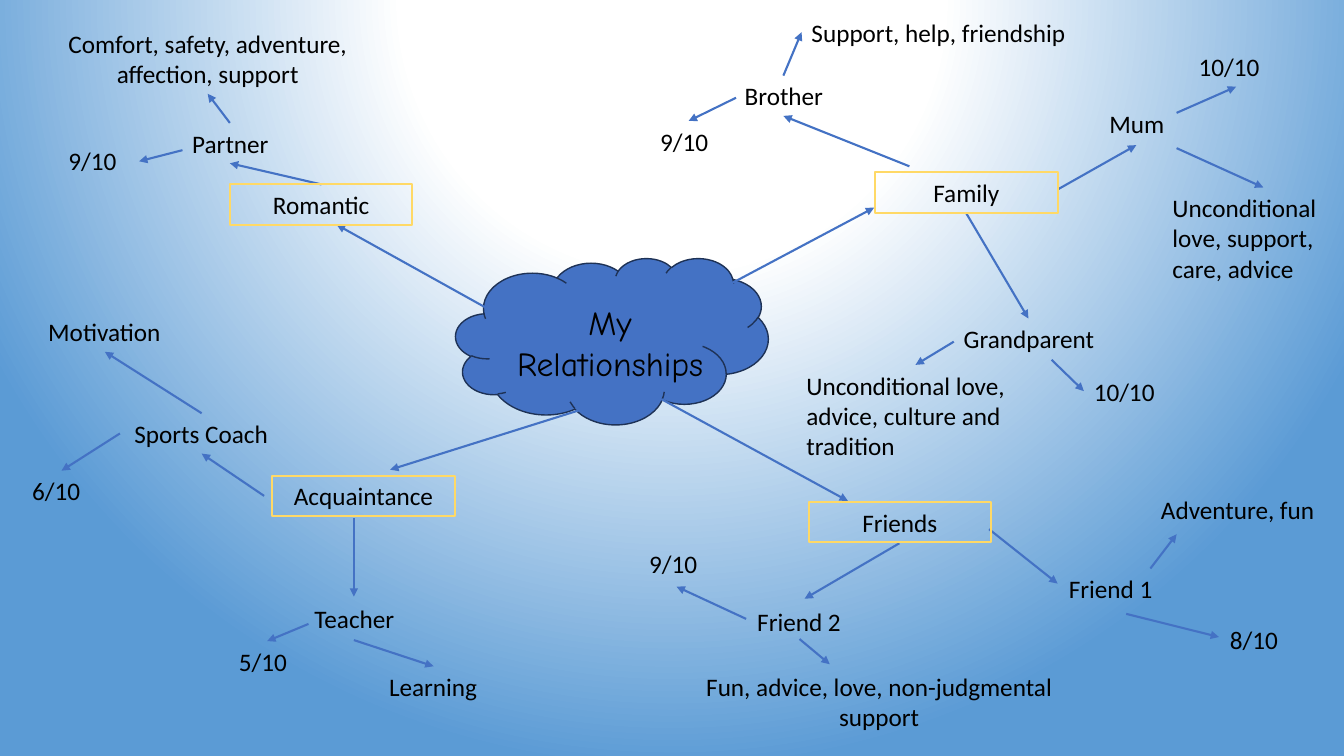
import pptx
import pptx.dml.color
import pptx.enum.shapes
import pptx.enum.text
import pptx.oxml
import pptx.oxml.ns
import pptx.util
from lxml import etree
from pptx.util import Inches

BLUE = pptx.dml.color.RGBColor(0x44, 0x72, 0xC4)
NAVY = pptx.dml.color.RGBColor(0x1E, 0x32, 0x56)
GOLD = pptx.dml.color.RGBColor(0xFF, 0xD9, 0x66)
BLACK = pptx.dml.color.RGBColor(0, 0, 0)

LEFT = pptx.enum.text.PP_ALIGN.LEFT
CENTER = pptx.enum.text.PP_ALIGN.CENTER
LABEL_WIDTH = 1.81
LABEL_HEIGHT = 0.4

BACKGROUND_GRADIENT = f"""
<a:gradFill {pptx.oxml.ns.nsdecls("a")} rotWithShape="1">
  <a:gsLst>
    <a:gs pos="0"><a:srgbClr val="FFFFFF"/></a:gs>
    <a:gs pos="35000"><a:srgbClr val="FFFFFF"/></a:gs>
    <a:gs pos="100000"><a:srgbClr val="5B9BD5"/></a:gs>
  </a:gsLst>
  <a:path path="circle">
    <a:fillToRect l="50000" t="-80000" r="50000" b="180000"/>
  </a:path>
</a:gradFill>"""

# Text, left, top
CATEGORIES = [
    ("Romantic", 2.28, 1.83),
    ("Family", 8.68, 1.71),
    ("Friends", 8.02, 4.98),
    ("Acquaintance", 2.7, 4.72),
]
PEOPLE = [
    ("Partner", 1.38, 1.22),
    ("Brother", 6.87, 0.75),
    ("Mum", 10.37, 1.03),
    ("Grandparent", 9.3, 3.16),
    ("Friend 1", 10.11, 5.64),
    ("Friend 2", 7.02, 5.97),
    ("Sports Coach", 1.09, 4.1),
    ("Teacher", 2.61, 5.94),
]
RATINGS = [
    ("9/10", 0.58, 1.39),
    ("9/10", 6.45, 1.2),
    ("10/10", 11.79, 0.46),
    ("10/10", 10.75, 3.68),
    ("8/10", 12.1, 6.14),
    ("9/10", 6.34, 5.39),
    ("6/10", 0.22, 4.67),
    ("5/10", 2.27, 6.36),
]
# Text, left, top, width, height, alignment
BENEFITS = [
    ("Comfort, safety, adventure, affection, support", 0.25, 0.23, 3.62, 0.71, CENTER),
    ("Support, help, friendship", 7.95, 0.12, 2.88, 0.4, LEFT),
    ("Unconditional love, support, care, advice", 11.53, 1.86, 1.99, 1.01, LEFT),
    ("Unconditional love, advice, culture and tradition", 7.9, 3.62, 2.37, 1.01, LEFT),
    ("Adventure, fun", 11.37, 4.86, 1.81, 0.4, CENTER),
    ("Fun, advice, love, non-judgmental support", 6.8, 6.61, 3.84, 0.71, CENTER),
    ("Motivation", 0.13, 3.09, 1.81, 0.4, CENTER),
    ("Learning", 3.39, 6.61, 1.81, 0.4, CENTER),
]

# Start x, start y, end x, end y
CLOUD_ARROWS = [
    (7.22, 2.83, 8.67, 2.06),
    (5.12, 3.22, 3.34, 2.23),
    (6, 3.99, 3.87, 4.66),
    (6.56, 3.96, 8.41, 4.97),
]
CATEGORY_ARROWS = [
    (3.19, 1.83, 2.28, 1.62),
    (9.02, 1.65, 7.77, 1.15),
    (10.49, 1.88, 11.27, 1.44),
    (9.58, 2.11, 10.2, 3.16),
    (9.81, 5.25, 10.49, 5.79),
    (8.92, 5.39, 7.98, 5.94),
    (2.62, 4.92, 2, 4.5),
    (3.51, 5.14, 3.51, 5.92),
]
RATING_ARROWS = [
    (1.81, 1.49, 1.38, 1.6),
    (7.3, 0.97, 6.83, 1.2),
    (11.67, 1.12, 12.26, 0.86),
    (10.43, 3.57, 10.75, 3.88),
    (11.17, 6.09, 12.09, 6.32),
    (7.4, 6.14, 6.71, 5.82),
    (1.19, 4.3, 0.61, 4.67),
    (3.06, 6.19, 2.65, 6.36),
]
BENEFIT_ARROWS = [
    (2.28, 1.22, 2.06, 0.93),
    (7.77, 0.75, 7.95, 0.32),
    (11.67, 1.47, 12.53, 1.86),
    (9.46, 3.39, 9.08, 3.62),
    (11.41, 5.64, 11.67, 5.3),
    (7.93, 6.34, 8.23, 6.59),
    (2, 4.1, 1.04, 3.49),
    (3.51, 6.35, 4.3, 6.61),
]


def paint_background(slide):
    slide.background.fill.gradient()
    default = slide.element.find(".//" + pptx.oxml.ns.qn("a:gradFill"))
    default.getparent().replace(default, pptx.oxml.parse_xml(BACKGROUND_GRADIENT))


def add_cloud(slide):
    cloud = slide.shapes.add_shape(
        pptx.enum.shapes.MSO_SHAPE.CLOUD,
        Inches(4.52), Inches(2.56), Inches(3.1), Inches(1.65))
    cloud.shadow.inherit = False
    cloud.fill.solid()
    cloud.fill.fore_color.rgb = BLUE
    cloud.line.color.rgb = NAVY
    cloud.line.width = pptx.util.Pt(1)


def add_text(slide, text, left, top, width=LABEL_WIDTH, height=LABEL_HEIGHT,
             align=CENTER, font="Calibri", size=18, border=None):
    label = slide.shapes.add_textbox(
        Inches(left), Inches(top), Inches(width), Inches(height))
    if border is not None:
        label.line.color.rgb = border
        label.line.width = pptx.util.Pt(1.5)
    frame = label.text_frame
    frame.word_wrap = True
    frame.auto_size = pptx.enum.text.MSO_AUTO_SIZE.SHAPE_TO_FIT_TEXT
    paragraph = frame.paragraphs[0]
    paragraph.alignment = align
    run = paragraph.add_run()
    run.text = text
    run.font.name = font
    run.font.size = pptx.util.Pt(size)
    run.font.color.rgb = BLACK


def add_arrow(slide, start_x, start_y, end_x, end_y):
    arrow = slide.shapes.add_connector(
        pptx.enum.shapes.MSO_CONNECTOR.STRAIGHT,
        Inches(start_x), Inches(start_y), Inches(end_x), Inches(end_y))
    arrow.line.color.rgb = BLUE
    arrow.line.width = pptx.util.Pt(1.5)
    qn = pptx.oxml.ns.qn
    etree.SubElement(arrow.line._get_or_add_ln(), qn("a:tailEnd"), type="triangle")
    etree.SubElement(arrow.element.spPr, qn("a:effectLst"))


def main():
    presentation = pptx.Presentation()
    presentation.slide_width = Inches(13.33)
    presentation.slide_height = Inches(7.5)
    slide = presentation.slides.add_slide(presentation.slide_layouts[6])

    paint_background(slide)
    add_cloud(slide)
    add_text(slide, "My Relationships", 4.89, 2.95, 2.32, 0.91,
             font="Comic Neue", size=24)
    for ends in CLOUD_ARROWS + CATEGORY_ARROWS + RATING_ARROWS + BENEFIT_ARROWS:
        add_arrow(slide, *ends)
    for category in CATEGORIES:
        add_text(slide, *category, border=GOLD)
    for person in PEOPLE:
        add_text(slide, *person)
    for rating in RATINGS:
        add_text(slide, *rating, width=0.93, align=LEFT)
    for benefit in BENEFITS:
        add_text(slide, *benefit)

    presentation.save("out.pptx")


if __name__ == "__main__":
    main()
